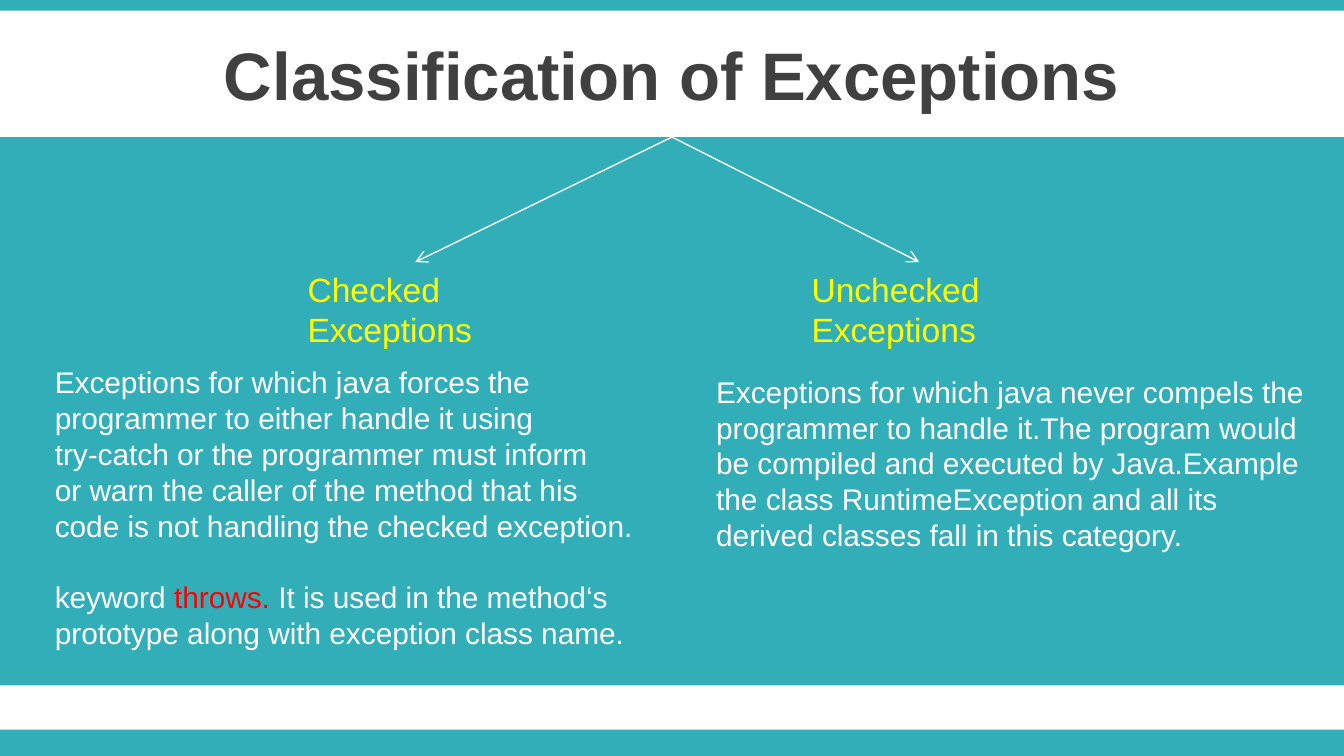
from pptx import Presentation
from pptx.dml.color import RGBColor
from pptx.enum.shapes import MSO_CONNECTOR as Connector, MSO_SHAPE as Shape
from pptx.enum.text import MSO_ANCHOR as Anchor, PP_ALIGN as Align
from pptx.oxml.ns import qn
from pptx.util import Inches, Pt
from lxml.etree import SubElement

TEAL, WHITE, YELLOW, RED, GRAY = "32AEB8", "FFFFFF", "FFFF00", "FF0000", "404040"

CHECKED_TEXT = [
    "Exceptions for which java forces the",
    "programmer to either handle it using",
    "try-catch or the programmer must inform",
    "or warn the caller of the method that his",
    "code is not handling the checked exception.",
]
THROWS_TEXT = [
    [("keyword ", WHITE), ("throws.", RED), (" It is used in the method‘s", WHITE)],
    "prototype along with exception class name.",
]
UNCHECKED_TEXT = [
    "Exceptions for which java never compels the programmer to handle it."
    "The program would be compiled and executed by Java."
    "Example the class RuntimeException and all its",
    "derived classes fall in this category.",
]


def rgb(color):
    return RGBColor.from_string(color)


def add_band(slide, top, height):
    band = slide.shapes.add_shape(
        Shape.RECTANGLE, 0, Inches(top), Inches(10), Inches(height))
    band.shadow.inherit = False
    band.fill.solid()
    band.fill.fore_color.rgb = rgb(TEAL)
    band.line.fill.background()
    return band


def add_text(slide, left, top, width, height, lines, size, color, bold=False):
    """Add one paragraph per line; a line is a string or (text, color) pairs."""
    box = slide.shapes.add_textbox(
        Inches(left), Inches(top), Inches(width), Inches(height))
    text_frame = box.text_frame
    text_frame.word_wrap = True
    for index, line in enumerate(lines):
        paragraph = text_frame.add_paragraph() if index else text_frame.paragraphs[0]
        parts = [(line, color)] if isinstance(line, str) else line
        for text, part_color in parts:
            run = paragraph.add_run()
            run.text = text
            run.font.name = "Arial"
            run.font.size = Pt(size)
            run.font.bold = bold
            run.font.color.rgb = rgb(part_color)
    return text_frame


def add_arrow(slide, panel, end_x, end_y):
    arrow = slide.shapes.add_connector(
        Connector.STRAIGHT, Inches(5), panel.top, Inches(end_x), Inches(end_y))
    arrow.begin_connect(panel, 0)
    arrow.line.color.rgb = rgb(WHITE)
    arrow.line.width = Pt(0.75)
    properties = arrow._element.spPr
    SubElement(properties.get_or_add_ln(), qn("a:tailEnd"), type="arrow")
    SubElement(properties, qn("a:effectLst"))


def main():
    # Widescreen 16:9 slide
    presentation = Presentation()
    presentation.slide_width = Inches(10)
    presentation.slide_height = presentation.slide_width * 9 // 16
    slide = presentation.slides.add_slide(presentation.slide_layouts[6])

    # Edge bands and title
    add_band(slide, 5.43, 0.2)
    add_band(slide, 0, 0.08)
    title = add_text(slide, 0, 0.23, 10, 0.63,
                     ["Classification of Exceptions"], 36, GRAY, bold=True)
    title.vertical_anchor = Anchor.MIDDLE
    title.paragraphs[0].alignment = Align.CENTER

    # Main panel with the two branches
    panel = add_band(slide, 1.02, 4.08)
    for left, kind, arrow_x in ((2.19, "Checked", 3.09), (5.94, "Unchecked", 6.84)):
        add_text(slide, left, 1.95, 1.8, 0.71, [kind, "Exceptions"], 18, YELLOW)
        add_arrow(slide, panel, arrow_x, 1.95)

    # Descriptions
    checked = add_text(slide, 0.31, 2.66, 4.53, 2.26,
                       CHECKED_TEXT + THROWS_TEXT, 16, WHITE)
    checked.paragraphs[len(CHECKED_TEXT)].space_before = Pt(19)
    add_text(slide, 5.23, 2.73, 4.61, 1.99, UNCHECKED_TEXT, 16, WHITE)

    presentation.save("out.pptx")


if __name__ == "__main__":
    main()
